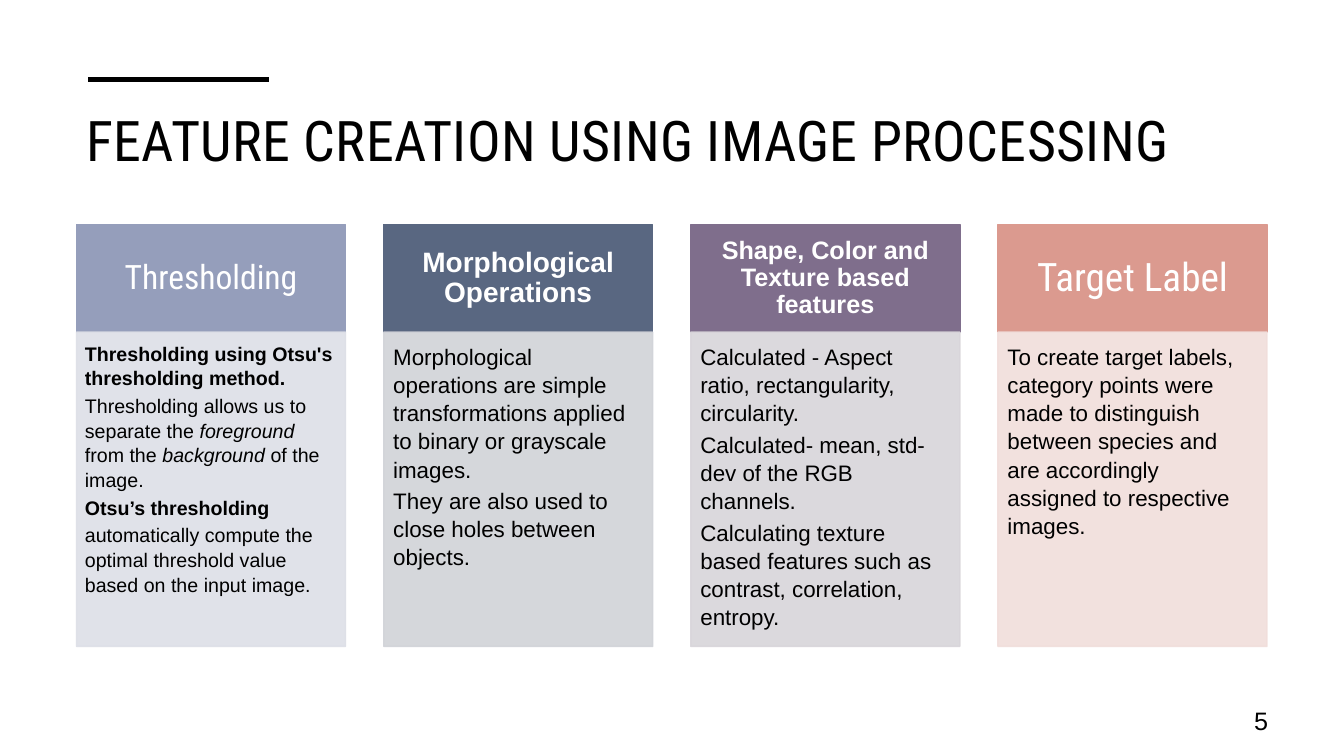
from lxml import etree
from pptx import Presentation
from pptx.dml.color import RGBColor
from pptx.enum.shapes import MSO_CONNECTOR, MSO_SHAPE
from pptx.enum.text import MSO_ANCHOR, PP_ALIGN
from pptx.oxml.ns import qn
from pptx.util import Cm, Pt

BLACK = RGBColor(0x00, 0x00, 0x00)
WHITE = RGBColor(0xFF, 0xFF, 0xFF)
PERIWINKLE = RGBColor(0x95, 0x9E, 0xBB)
PALE_PERIWINKLE = RGBColor(0xDD, 0xDF, 0xE7)
SLATE = RGBColor(0x59, 0x67, 0x81)
PALE_SLATE = RGBColor(0xD1, 0xD3, 0xD8)
PLUM = RGBColor(0x7F, 0x6E, 0x8C)
PALE_PLUM = RGBColor(0xD8, 0xD5, 0xDA)
CORAL = RGBColor(0xDB, 0x9A, 0x8F)
PALE_CORAL = RGBColor(0xF1, 0xDE, 0xDB)
SANS, CONDENSED = "Arial", "Roboto Condensed"

LEFT, PITCH, WIDTH = 1.93, 7.74, 6.78
HEADER_TOP, HEADER_HEIGHT = 5.66, 2.71
BODY_TOP, BODY_HEIGHT = 8.37, 7.92

# Each body paragraph is a list of (text, style): b is bold, i is italic.
COLUMNS = [
    ("Thresholding", CONDENSED, 24, False, PERIWINKLE, PALE_PERIWINKLE, 14, [
        [("Thresholding using Otsu's thresholding method.", "b")],
        [("Thresholding allows us to separate the ", ""), ("foreground", "i"),
         (" from the ", ""), ("background", "i"), (" of the image.", "")],
        [("Otsu’s thresholding", "b")],
        [("automatically compute the optimal threshold value "
          "based on the input image.", "")],
    ]),
    ("Morphological Operations", SANS, 20, True, SLATE, PALE_SLATE, 16, [
        [("Morphological operations are simple transformations applied "
          "to binary or grayscale images.", "")],
        [("They are also used to close holes between objects.", "")],
    ]),
    ("Shape, Color and Texture based features", SANS, 18, True, PLUM, PALE_PLUM, 16, [
        [("Calculated - Aspect ratio, rectangularity, circularity.", "")],
        [("Calculated- mean, std-dev of the RGB channels.", "")],
        [("Calculating texture based features such as contrast, "
          "correlation, entropy.", "")],
    ]),
    ("Target Label", CONDENSED, 28, False, CORAL, PALE_CORAL, 16, [
        [("To create target labels, category points were made to distinguish "
          "between species and are accordingly assigned to respective images.", "")],
    ]),
]


def set_font(para, name, size, color):
    para.font.name = name
    para.font.size = Pt(size)
    para.font.color.rgb = color


def add_panel(left, top, height, color, anchor, margins):
    """Add a column rectangle; margins are left, top, right, bottom in cm."""
    panel = page.shapes.add_shape(
        MSO_SHAPE.RECTANGLE, Cm(left), Cm(top), Cm(WIDTH), Cm(height))
    panel.shadow.inherit = False
    panel.fill.solid()
    panel.fill.fore_color.rgb = color
    panel.line.color.rgb = color
    panel.line.width = Pt(1)
    frame = panel.text_frame
    frame.word_wrap = True
    frame.vertical_anchor = anchor
    (frame.margin_left, frame.margin_top,
     frame.margin_right, frame.margin_bottom) = map(Cm, margins)
    return panel


deck = Presentation()
deck.slide_width, deck.slide_height = Cm(33.87), Cm(19.05)
page = deck.slides.add_slide(deck.slide_layouts[6])

accent = page.shapes.add_connector(
    MSO_CONNECTOR.STRAIGHT, Cm(2.23), Cm(2), Cm(6.78), Cm(2))
accent.line.color.rgb = BLACK
accent.line.width = Pt(3.5)
etree.SubElement(accent._element.spPr, qn("a:effectLst"))

title = page.shapes.add_textbox(Cm(LEFT), Cm(2.46), Cm(30), Cm(2.92))
title.text_frame.word_wrap = True
para = title.text_frame.paragraphs[0]
span = para.add_run()
span.text = "FEATURE CREATION USING IMAGE PROCESSING"
span._r.get_or_add_rPr().set("spc", "30")
para.line_spacing = 1.05
set_font(para, CONDENSED, 40, BLACK)

for column, (heading, face, size, bold, dark, pale, body_size, body) in enumerate(COLUMNS):
    left = LEFT + column * PITCH
    side, edge = size * 0.02, size * 0.011
    header = add_panel(left, HEADER_TOP, HEADER_HEIGHT, dark, MSO_ANCHOR.MIDDLE,
                       (side, edge, side, edge))
    para = header.text_frame.paragraphs[0]
    para.text = heading
    para.alignment = PP_ALIGN.CENTER
    para.line_spacing = 0.9
    para.font.bold = bold
    set_font(para, face, size, WHITE)

    inset = body_size * 0.015
    panel = add_panel(left, BODY_TOP, BODY_HEIGHT, pale, MSO_ANCHOR.TOP,
                      (inset, inset, inset * 4 / 3, inset * 1.5))
    for tint in panel._element.spPr.iter(qn("a:srgbClr")):
        etree.SubElement(tint, qn("a:alpha"), val="90000")
    frame = panel.text_frame
    for number, spans in enumerate(body):
        para = frame.add_paragraph() if number else frame.paragraphs[0]
        para.alignment = PP_ALIGN.LEFT
        para.line_spacing = 1.05
        para.space_after = Pt(round(body_size * 0.15, 1))
        set_font(para, SANS, body_size, BLACK)
        for text, style in spans:
            span = para.add_run()
            span.text = text
            span.font.bold = style == "b"
            span.font.italic = style == "i"

page_number = page.shapes.add_textbox(Cm(30.33), Cm(17.65), Cm(1.88), Cm(1.02))
page_number.text_frame.word_wrap = True
page_number.text_frame.vertical_anchor = MSO_ANCHOR.MIDDLE
para = page_number.text_frame.paragraphs[0]
para.text = "5"
para.alignment = PP_ALIGN.RIGHT
set_font(para, SANS, 18, BLACK)

deck.save("out.pptx")
